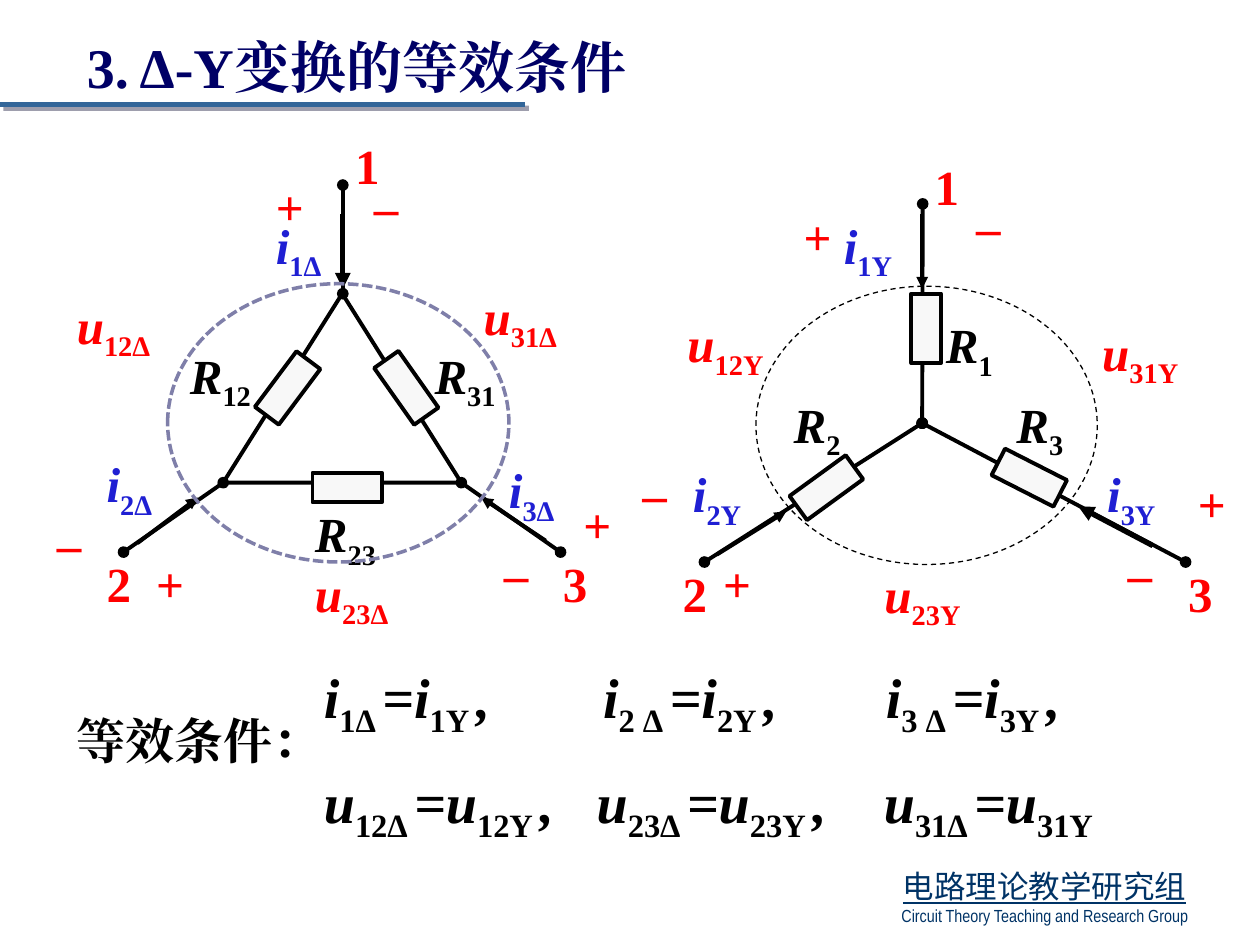
import pptx
import pptx.chart.data
import pptx.dml.color
import pptx.enum.dml
import pptx.enum.shapes
import pptx.enum.text
import pptx.oxml
import pptx.oxml.ns
import pptx.util
from lxml import etree

Cm = pptx.util.Cm
Pt = pptx.util.Pt
RGBColor = pptx.dml.color.RGBColor
SHAPE = pptx.enum.shapes.MSO_SHAPE
DASH = pptx.enum.dml.MSO_LINE
qn = pptx.oxml.ns.qn

BLACK = RGBColor(0x00, 0x00, 0x00)
RED = RGBColor(0xFF, 0x00, 0x00)
BLUE = RGBColor(0x1F, 0x1F, 0xD3)
NAVY = RGBColor(0x00, 0x00, 0x66)
TEAL = RGBColor(0x00, 0x33, 0x66)
STEEL = RGBColor(0x33, 0x66, 0x99)
LAVENDER = RGBColor(0x7F, 0x7F, 0xA9)
PALE = RGBColor(0xF8, 0xF8, 0xF8)
SERIF = "Times New Roman"

LABEL_STYLES = {
    "u": (2.5, RED, True),
    "i": (1.9, BLUE, True),
    "R": (2.0, BLACK, True),
}

DELTA = {
    "labels": [
        ("1", 6.01, 0.01), ("2", 1, 8.42), ("3", 10.2, 8.42),
        ("+", 4.41, 0.83), ("+", 2, 8.42), ("+", 10.61, 7.23),
        ("–", 6.39, 0.83), ("–", 0, 7.63), ("–", 9.01, 8.22),
        ("i_1Δ", 4.41, 1.61), ("i_2Δ", 1, 6.42), ("i_3Δ", 9.11, 6.54),
        ("u_12Δ", 0.4, 3.22), ("u_23Δ", 5.2, 8.63), ("u_31Δ", 8.6, 3.04),
        ("R_12", 2.68, 4.23), ("R_23", 5.2, 7.43), ("R_31", 7.61, 4.23),
    ],
    "wires": [
        ((6.01, 3.42), (6.01, 1.23)),
        ((1.59, 8.63), (3.6, 7.23)),
        ((10.4, 8.63), (8.4, 7.23)),
    ],
    "arrows": [
        ((6.01, 1.82), (6.01, 3.32), 3),
        ((1.87, 8.45), (3.09, 7.53), 2.25),
        ((10.1, 8.4), (8.8, 7.53), 2.25),
    ],
    "resistors": [(4.9, 5.32, 306.8), (6.1, 7.33, 0), (7.29, 5.32, 54.8)],
    "boundary": (2.48, 3.22, LAVENDER, 2, DASH.SQUARE_DOT),
}

STAR = {
    "labels": [
        ("1", 5.89, 0.42), ("2", 0.81, 8.63), ("3", 11, 8.63),
        ("+", 3.25, 1.44), ("+", 1.63, 8.42), ("+", 11.2, 6.82),
        ("–", 6.73, 1.23), ("–", 0, 6.62), ("–", 9.78, 8.22),
        ("i_1Y", 4.06, 1.61), ("i_2Y", 1.02, 6.62), ("i_3Y", 9.37, 6.62),
        ("u_12Y", 0.91, 3.6), ("u_23Y", 4.88, 8.65), ("u_31Y", 9.27, 3.77),
        ("R_1", 6.12, 3.62), ("R_2", 3.05, 5.22), ("R_3", 7.54, 5.22),
    ],
    "wires": [((5.89, 6.03), end) for end in ((5.9, 1.61), (1.5, 8.83), (11.2, 8.83))],
    "arrows": [
        ((5.89, 1.82), (5.89, 3.32), 2.25),
        ((1.75, 8.68), (3.15, 7.81), 2.25),
        ((10.54, 8.5), (9.04, 7.71), 3),
    ],
    "resistors": [(5.97, 4.12, 90), (3.96, 7.33, 324), (8.05, 7.13, 27)],
    "boundary": (2.54, 3.27, BLACK, 0.75, DASH.DASH),
}


def add_text(paragraph, text, size=28, color=BLACK, bold=True, italic=False,
             underline=False, font=SERIF):
    """Write text whose parts alternate between baseline and subscript at each underscore."""
    for index, part in enumerate(text.split("_")):
        subscript = index % 2 == 1
        run = paragraph.add_run()
        run.text = part
        run.font.size = Pt(size)
        run.font.bold = bold
        run.font.italic = italic and not subscript
        run.font.underline = underline
        run.font.color.rgb = color
        run.font.name = font
        properties = run.font._element
        etree.SubElement(properties, qn("a:ea")).set("typeface", font)
        if subscript:
            properties.set("baseline", "-25000")


def add_frame(slide, left, top, width, height, inset_top=0.23):
    """Add a wrapping text box and return its text frame."""
    box = slide.shapes.add_textbox(Cm(left), Cm(top), Cm(width), Cm(height))
    box.text_frame.word_wrap = True
    box.text_frame.margin_top = Cm(inset_top)
    return box.text_frame


def add_line(slide, start, end, color=BLACK, weight=2.25, head=None, tail=None):
    """Add a straight line with optional ends and return its effect list."""
    line = slide.shapes.add_connector(
        pptx.enum.shapes.MSO_CONNECTOR.STRAIGHT, *(Cm(value) for value in (*start, *end)))
    line.line.color.rgb = color
    line.line.width = Pt(weight)
    outline = line.line._get_or_add_ln()
    for tag, kind in (("a:headEnd", head), ("a:tailEnd", tail)):
        if kind:
            etree.SubElement(outline, qn(tag)).set("type", kind)
    return etree.SubElement(line._element.spPr, qn("a:effectLst"))


def add_outline(slide, kind, left, top, width, height, color=BLACK, weight=2.25, fill=None):
    """Add an outlined preset shape without shadow."""
    shape = slide.shapes.add_shape(kind, Cm(left), Cm(top), Cm(width), Cm(height))
    shape.shadow.inherit = False
    shape.line.color.rgb = color
    shape.line.width = Pt(weight)
    if fill is None:
        shape.fill.background()
    else:
        shape.fill.solid()
        shape.fill.fore_color.rgb = fill
    return shape


def add_circuit(slide, left, top, circuit, triangle=None):
    """Draw a three-terminal network from the corner of its box."""
    def place(point):
        return left + point[0], top + point[1]

    for start, end in circuit["wires"]:
        add_line(slide, place(start), place(end), head="oval", tail="oval")
    for start, end, weight in circuit["arrows"]:
        add_line(slide, place(start), place(end), weight=weight, tail="triangle")
    for text, x, y in circuit["labels"]:
        width, color, italic = LABEL_STYLES.get(text[0], (1.07, RED, False))
        frame = add_frame(slide, left + x, top + y, width, 1.45)
        add_text(frame.paragraphs[0], text, color=color, italic=italic)
    if triangle:
        x, y, width, height = triangle
        add_outline(slide, SHAPE.ISOSCELES_TRIANGLE, left + x, top + y, width, height)
    length, thickness = 1.4, 0.6
    for x, y, angle in circuit["resistors"]:
        resistor = add_outline(slide, SHAPE.RECTANGLE, left + x - length / 2,
                               top + y - thickness / 2, length, thickness, fill=PALE)
        resistor.rotation = angle
    x, y, color, weight, dash = circuit["boundary"]
    boundary = add_outline(slide, SHAPE.OVAL, left + x, top + y, 6.88, 5.61, color, weight)
    boundary.line.dash_style = dash


def add_title(slide, left, top, width, height):
    """Add the heading and the shadowed rule under it."""
    frame = add_frame(slide, left, top, width, height)
    add_text(frame.paragraphs[0], "3. Δ-Y变换的等效条件", size=32, color=NAVY)
    rule_top = top + 1.68
    effects = add_line(slide, (0, rule_top), (10.59, rule_top), STEEL, 3)
    shadow = etree.SubElement(effects, qn("a:outerShdw"), dist="35560", dir="2700000")
    shade = etree.SubElement(shadow, qn("a:srgbClr"), val="3E3E5C")
    etree.SubElement(shade, qn("a:alpha"), val="50000")


def add_conditions(slide, left, top, width, height):
    """Add the caption and the two tabbed rows of equations."""
    caption = add_frame(slide, left, top + 0.97, 6, 1.45)
    add_text(caption.paragraphs[0], "等效条件：")
    frame = add_frame(slide, left + 4.98, top, width - 4.98, height)
    rows = [
        ("i_1Δ _=i_1Y _,\ti_2 Δ _=i_2Y _,\ti_3 Δ _=i_3Y _,", (5.63, 11.33)),
        ("u_12Δ _=u_12Y _,\tu_23Δ _=u_23Y _,\tu_31Δ _=u_31Y", (5.5, 11.29)),
    ]
    for index, (text, stops) in enumerate(rows):
        paragraph = frame.add_paragraph() if index else frame.paragraphs[0]
        tabs = etree.SubElement(paragraph._p.get_or_add_pPr(), qn("a:tabLst"))
        for stop in stops:
            etree.SubElement(tabs, qn("a:tab"), pos=str(int(Cm(stop))), algn="l")
        if index:
            paragraph.space_before = Pt(16)
        add_text(paragraph, text, size=32, italic=True)


def add_footer(slide, left, top, width, height):
    """Add the centred name of the teaching group in two languages."""
    frame = add_frame(slide, left, top, width, height, inset_top=0.13)
    first, second = frame.paragraphs[0], frame.add_paragraph()
    first.alignment = second.alignment = pptx.enum.text.PP_ALIGN.CENTER
    add_text(first, "电路理论教学研究组", size=18, color=TEAL, bold=False,
             underline=True, font="Noto Sans CJK SC")
    add_text(second, "Circuit Theory Teaching and Research Group", size=10,
             color=TEAL, bold=False, font="Arial Narrow")


def main():
    """Build the slide and save it."""
    presentation = pptx.Presentation()
    presentation.slide_width, presentation.slide_height = Cm(25.4), Cm(19.05)
    slide = presentation.slides.add_slide(presentation.slide_layouts[6])
    add_footer(slide, 17.15, 17.35, 7.82, 1.45)
    add_title(slide, 1.5, 0.43, 13.59, 1.6)
    add_conditions(slide, 1.3, 13.13, 23, 3.63)
    add_circuit(slide, 0.9, 2.5, DELTA, triangle=(3.6, 3.42, 4.8, 3.81))
    add_circuit(slide, 12.7, 2.5, STAR)
    presentation.save("out.pptx")


if __name__ == "__main__":
    main()
